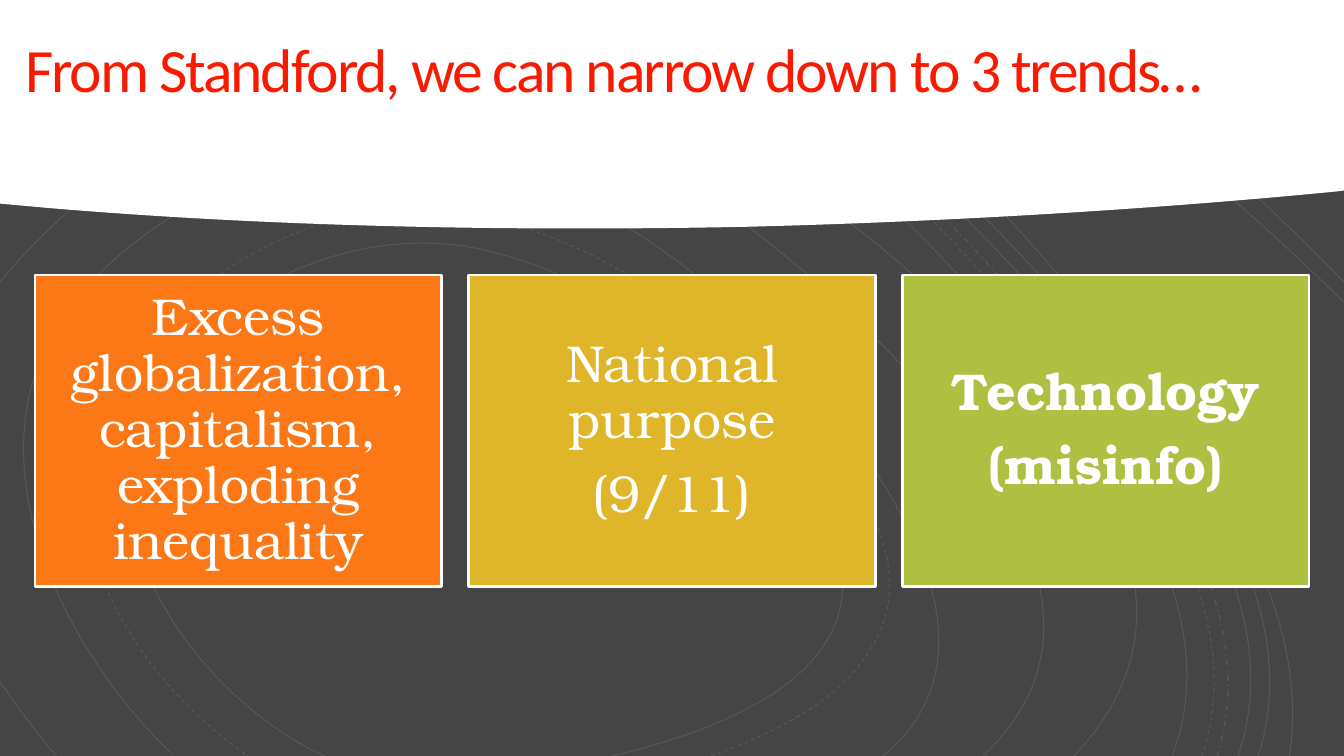
from lxml import etree
from pptx import Presentation
from pptx import util as u
from pptx.dml.color import RGBColor
from pptx.enum import dml, shapes, text
from pptx.oxml.ns import qn

WIDTH, HEIGHT = u.Cm(33.87), u.Cm(19.05)
GRID_WIDTH, GRID_HEIGHT = 13.33, 7.5
DASH = dml.MSO_LINE.DASH
DASH_DOT = dml.MSO_LINE.DASH_DOT

# Each contour: dash style, then a start point and Bezier control points in threes
CONTOURS = [
    (None, [(8.76, 7.5), (10.25, 6.25), (8.35, 4.09), (7.38, 3.15), (6.49, 2.3), (5.36, 1.64),
            (4.12, 1.53), (2.87, 1.41), (1.41, 2.08), (0.68, 3.07), (-0.36, 4.47), (0.6, 6.44),
            (1.72, 7.49)]),
    (None, [(6.07, 7.5), (7.1, 7.26), (8.8, 6.67), (8.25, 5.29), (7.73, 3.99), (6.15, 2.78),
            (4.8, 2.48), (3.57, 2.2), (2.16, 2.81), (1.51, 3.91), (0.73, 5.24), (2, 6.95),
            (3.22, 7.5)]),
    (DASH, [(7.05, 7.5), (7.65, 7.29), (8.35, 6.96), (8.67, 6.38), (9.06, 5.68), (8.64, 4.95),
            (8.17, 4.4), (7.23, 3.29), (5.92, 2.27), (4.43, 2.09), (3.19, 1.95), (1.93, 2.67),
            (1.22, 3.68), (0.27, 5.04), (1.27, 6.68), (2.46, 7.5)]),
    (None, [(9.75, 7.5), (11.3, 6.04), (9.5, 4.13), (8.38, 3.06), (7.32, 2.06), (6.03, 1.2),
            (4.58, 0.92), (2.84, 0.59), (1.11, 1.43), (0, 2.8)]),
    (None, [(0, 6.76), (0.19, 7.04), (0.37, 7.28), (0.56, 7.5)]),
    (None, [(10.65, 7.5), (12.13, 5.95), (10.67, 4.22), (9.44, 3.07), (8.17, 1.89), (6.67, 0.87),
            (4.98, 0.44), (2.98, -0.06), (1.52, 0.46), (0, 1.84)]),
    (None, [(11.63, 7.49), (12.26, 5.81), (10.64, 4.01), (9.63, 2.87), (8.58, 1.7), (7.36, 0.66),
            (5.93, 0)]),
    (DASH, [(11.92, 7.5), (12.48, 5.86), (10.98, 4.15), (10, 3.01), (8.97, 1.81), (7.77, 0.73),
            (6.37, 0)]),
    (DASH_DOT, [(12.07, 7.5), (12.59, 5.85), (11.13, 4.17), (10.15, 3.02), (9.13, 1.83),
                (7.95, 0.75), (6.58, 0)]),
    (None, [(12.28, 7.5), (12.83, 5.88), (11.44, 4.25), (10.46, 3.12), (9.41, 1.9), (8.2, 0.79),
            (6.79, 0)]),
    (None, [(12.48, 7.5), (12.99, 5.9), (11.67, 4.32), (10.7, 3.18), (9.66, 1.95), (8.46, 0.83),
            (7.07, 0)]),
    (None, [(12.79, 7.5), (13.03, 5.9), (11.82, 4.38), (10.9, 3.22), (9.93, 2), (8.81, 0.87),
            (7.52, 0)]),
    (None, [(13.33, 3), (12.19, 1.88), (10.94, 0.85), (9.59, 0)]),
    (None, [(13.33, 2.8), (12.2, 1.64), (11.12, 0.72), (10.1, 0)]),
]
BAND_EDGE = [(13.25, 1.9), (11.09, 2.11), (9.01, 2.21), (7.39, 2.25), (5.4, 2.29), (2.91, 2.27),
             (0.44, 2.06)]

CARDS = [
    ("FC7715", False, ["Excess globalization, capitalism, exploding inequality"]),
    ("DFB62A", False, ["National purpose", "(9/11)"]),
    ("AFBF41", True, ["Technology", "(misinfo)"]),
]


def colour(value):
    return RGBColor.from_string(value)


def add_curved_outline(slide, box, before, curve, after, close):
    """Draw straight corners, then a chain of cubic curves, then straight corners."""
    left, top, width, height = box
    placed = [(round(left + x * width / GRID_WIDTH), round(top + y * height / GRID_HEIGHT))
              for x, y in before + curve + after]
    builder = slide.shapes.build_freeform(*placed[0])
    builder.add_line_segments(placed[1:], close=close)
    shape = builder.convert_to_shape()
    shape.shadow.inherit = False
    # Join every three control points into one curve
    segments = list(shape._element.iter(qn("a:lnTo")))
    first = len(before)
    for start in range(first, first + len(curve) - 1, 3):
        bezier = etree.Element(qn("a:cubicBezTo"))
        segments[start].addprevious(bezier)
        for segment in segments[start:start + 3]:
            bezier.append(segment[0])
            segment.getparent().remove(segment)
    return shape


def add_contours(slide, box):
    for dash, curve in CONTOURS:
        shape = add_curved_outline(slide, box, [], curve, [], close=False)
        shape.fill.background()
        shape.line.color.rgb = colour("FFFFFF")
        shape.line.width = u.Pt(1 if dash == DASH_DOT else 0.75)
        if dash:
            shape.line.dash_style = dash
        # 10 % opacity
        line_colour = shape._element.spPr.find(qn("a:ln")).find(".//" + qn("a:srgbClr"))
        etree.SubElement(line_colour, qn("a:alpha")).set("val", "10000")


def add_band(slide, box):
    corners = [(0, 0), (GRID_WIDTH, 0), (GRID_WIDTH, 1.89)]
    shape = add_curved_outline(slide, box, corners, BAND_EDGE, [(0, 2.02)], close=True)
    shape.fill.solid()
    shape.fill.fore_color.rgb = colour("FFFFFF")
    shape.line.fill.background()


def prepare_frame(shape, inset):
    frame = shape.text_frame
    frame.word_wrap = True
    frame.vertical_anchor = text.MSO_ANCHOR.MIDDLE
    frame.margin_left = frame.margin_right = frame.margin_top = frame.margin_bottom = inset
    return frame


def add_run(paragraph, words, font, size, hex_colour, bold=False):
    run = paragraph.add_run()
    run.text = words
    run.font.name, run.font.size, run.font.bold = font, u.Pt(size), bold
    run.font.color.rgb = colour(hex_colour)
    return run


def add_title(slide, box):
    frame = prepare_frame(slide.shapes.add_textbox(*box), u.Cm(0.64))
    paragraph = frame.paragraphs[0]
    paragraph.line_spacing = 0.85
    run = add_run(paragraph, "From Standford, we can narrow down to 3 trends…",
                  "Calibri", 44, "F81B02")
    run.font._element.set("spc", "-150")


def add_card(slide, box, fill, bold, lines):
    shape = slide.shapes.add_shape(shapes.MSO_SHAPE.RECTANGLE, *box)
    shape.shadow.inherit = False
    shape.fill.solid()
    shape.fill.fore_color.rgb = colour(fill)
    shape.line.color.rgb = colour("FFFFFF")
    shape.line.width = u.Pt(2)
    frame = prepare_frame(shape, u.Cm(0.38))
    for index, words in enumerate(lines):
        paragraph = frame.add_paragraph() if index else frame.paragraphs[0]
        paragraph.alignment = text.PP_ALIGN.CENTER
        paragraph.line_spacing = 0.9
        paragraph.space_after = u.Pt(13)
        add_run(paragraph, words, "TeX Gyre Bonum", 37, "FFFFFF", bold)


def add_cards(slide, box):
    left, top, width, height = box
    gap = u.Cm(0.69)
    card_width = (width - gap * (len(CARDS) - 1)) // len(CARDS)
    for index, card in enumerate(CARDS):
        add_card(slide, (left + index * (card_width + gap), top, card_width, height), *card)


def main():
    presentation = Presentation()
    presentation.slide_width, presentation.slide_height = WIDTH, HEIGHT
    slide = presentation.slides.add_slide(presentation.slide_layouts[6])
    slide.background.fill.solid()
    slide.background.fill.fore_color.rgb = colour("454545")

    # Backdrop
    page = (0, 0, WIDTH, HEIGHT)
    add_contours(slide, page)
    add_band(slide, page)

    # Content
    add_title(slide, (0, u.Cm(0.36), u.Cm(33.83), u.Cm(3)))
    add_cards(slide, (u.Cm(0.88), u.Cm(6.93), u.Cm(32.11), u.Cm(7.85)))
    presentation.save("out.pptx")


if __name__ == "__main__":
    main()
